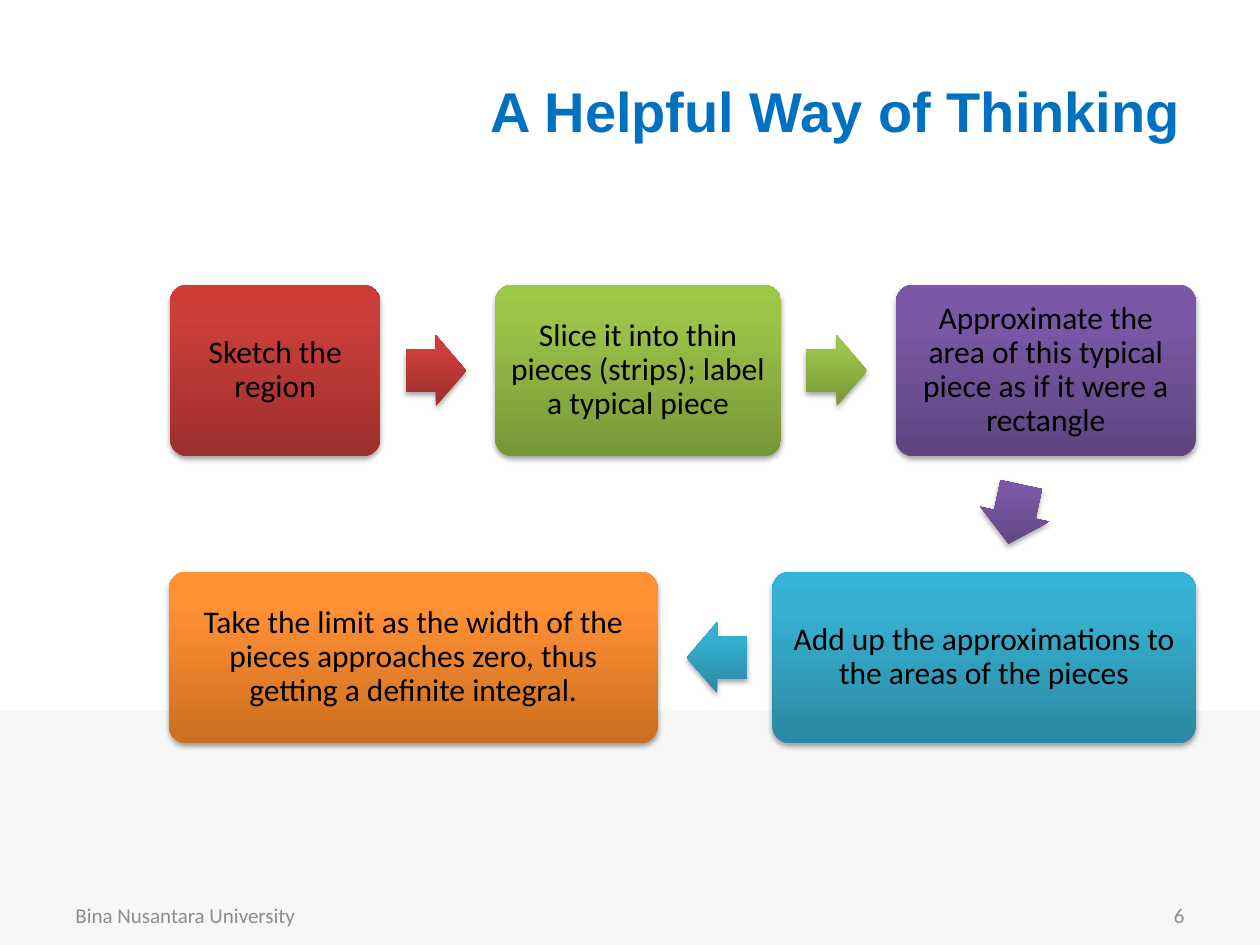
import math
from dataclasses import dataclass

import pptx
import pptx.dml.color
import pptx.enum.shapes
import pptx.enum.text
import pptx.oxml
import pptx.oxml.ns
import pptx.presentation
import pptx.shapes.autoshape
import pptx.slide
import pptx.util

Pt = pptx.util.Pt
ALIGN = pptx.enum.text.PP_ALIGN
SHAPE = pptx.enum.shapes.MSO_SHAPE


@dataclass(frozen=True)
class Theme:
    title_color: str = "0070C0"
    step_color: str = "000000"
    footer_color: str = "8C8C8C"
    band_color: str = "F7F7F7"
    title_font: str = "Arial"
    body_font: str = "Calibri"
    title_size: float = 32
    step_size: float = 18
    footer_size: float = 12


@dataclass(frozen=True)
class Step:
    text: str
    width: float
    gradient: tuple[str, str, str]  # bottom, near top, top


@dataclass(frozen=True)
class Row:
    """A run of steps laid out from one edge, rightward (1) or leftward (-1)."""
    edge: float
    top: float
    direction: int
    steps: tuple[Step, ...]


@dataclass(frozen=True)
class Label:
    text: str
    left: float
    top: float
    width: float
    height: float
    font: str
    size: float
    color: str
    align: ALIGN
    bold: bool = False


THEME = Theme()
BOX_HEIGHT = 98
BOX_GAP = 65.5
ARROW_GAP = 14.4
ARROW_WIDTH, ARROW_HEIGHT = 34.6, 40.4

ROWS = (
    Row(97.2, 162.8, 1, (
        Step("Sketch the region", 120.2, ("9C2F2D", "CB3E3A", "CE3B37")),
        Step("Slice it into thin pieces (strips); label a typical piece",
             163.5, ("779737", "9BC348", "9DC746")),
        Step("Approximate the area of this typical piece as if it were a rectangle",
             171.4, ("5F4480", "7B58A6", "7C57A8")),
    )),
    Row(683.3, 326.8, -1, (
        Step("Add up the approximations to the areas of the pieces",
             241.9, ("2A88A2", "37B1D2", "34B4D6")),
        Step("Take the limit as the width of the pieces approaches zero, "
             "thus getting a definite integral.",
             279.4, ("CC6E20", "FF9034", "FF9136")),
    )),
)

LABELS = (
    Label("Bina Nusantara University", 36, 508.5, 168, 28.8, THEME.body_font,
          THEME.footer_size, THEME.footer_color, ALIGN.LEFT),
    Label("6", 516, 508.5, 168, 28.8, THEME.body_font,
          THEME.footer_size, THEME.footer_color, ALIGN.RIGHT),
    Label("A Helpful Way of Thinking", 34, 18, 648, 90, THEME.title_font,
          THEME.title_size, THEME.title_color, ALIGN.RIGHT, True),
)


def write_text(frame: pptx.text.text.TextFrame, text: str, font: str, size: float,
               color: str, align: ALIGN, bold: bool = False) -> None:
    frame.word_wrap = True
    frame.vertical_anchor = pptx.enum.text.MSO_ANCHOR.MIDDLE
    paragraph = frame.paragraphs[0]
    paragraph.alignment = align
    run = paragraph.add_run()
    run.text = text
    run.font.name = font
    run.font.size = Pt(size)
    run.font.bold = bold
    run.font.color.rgb = pptx.dml.color.RGBColor.from_string(color)


def add_label(slide: pptx.slide.Slide, label: Label) -> None:
    box = slide.shapes.add_textbox(Pt(label.left), Pt(label.top),
                                   Pt(label.width), Pt(label.height))
    write_text(box.text_frame, label.text, label.font, label.size,
               label.color, label.align, label.bold)


def add_plain_shape(slide: pptx.slide.Slide, kind: SHAPE, left: float, top: float,
                    width: float, height: float, color: str) -> pptx.shapes.autoshape.Shape:
    shape = slide.shapes.add_shape(kind, Pt(left), Pt(top), Pt(width), Pt(height))
    shape.shadow.inherit = False
    shape.fill.solid()
    shape.fill.fore_color.rgb = pptx.dml.color.RGBColor.from_string(color)
    shape.line.fill.background()
    return shape


def add_finish(shape: pptx.shapes.autoshape.Shape, gradient: tuple[str, str, str]) -> None:
    """Apply the upright three-stop gradient and the soft shadow below."""
    namespace = pptx.oxml.ns.nsdecls("a")
    stops = "".join(f'<a:gs pos="{position}"><a:srgbClr val="{color}"/></a:gs>'
                    for position, color in zip((0, 80000, 100000), gradient))
    properties = shape.element.spPr
    solid = properties.find(pptx.oxml.ns.qn("a:solidFill"))
    properties.replace(solid, pptx.oxml.parse_xml(
        f'<a:gradFill {namespace} rotWithShape="0"><a:gsLst>{stops}</a:gsLst>'
        '<a:lin ang="16200000" scaled="0"/></a:gradFill>'))
    properties.find(pptx.oxml.ns.qn("a:effectLst")).append(pptx.oxml.parse_xml(
        f'<a:outerShdw {namespace} blurRad="{Pt(3.1)}" dist="{Pt(1.8)}" dir="5400000" '
        'rotWithShape="0"><a:srgbClr val="000000"><a:alpha val="35000"/></a:srgbClr>'
        '</a:outerShdw>'))


def add_step(slide: pptx.slide.Slide, step: Step, left: float, top: float) -> None:
    box = add_plain_shape(slide, SHAPE.ROUNDED_RECTANGLE, left, top,
                          step.width, BOX_HEIGHT, step.gradient[0])
    box.adjustments[0] = 0.1
    add_finish(box, step.gradient)
    frame = box.text_frame
    frame.margin_left = frame.margin_right = Pt(5)
    frame.margin_top = frame.margin_bottom = Pt(5)
    write_text(frame, step.text, THEME.body_font, THEME.step_size,
               THEME.step_color, ALIGN.CENTER)
    frame.paragraphs[0].line_spacing = 0.9


def add_arrow(slide: pptx.slide.Slide, step: Step, center_x: float, center_y: float,
              angle: float) -> None:
    arrow = add_plain_shape(slide, SHAPE.RIGHT_ARROW, center_x - ARROW_WIDTH / 2,
                            center_y - ARROW_HEIGHT / 2, ARROW_WIDTH, ARROW_HEIGHT,
                            step.gradient[0])
    arrow.adjustments[0] = 0.6
    arrow.adjustments[1] = 0.5
    arrow.rotation = angle
    add_finish(arrow, step.gradient)


def add_flow(slide: pptx.slide.Slide, rows: tuple[Row, ...]) -> None:
    """Draw the steps in order, each linked by an arrow in its own colour."""
    previous = None
    for row in rows:
        edge = row.edge
        center_y = row.top + BOX_HEIGHT / 2
        for index, step in enumerate(row.steps):
            far_edge = edge + row.direction * step.width
            center_x = (edge + far_edge) / 2
            if previous and index == 0:
                last_step, last_x, last_y = previous
                angle = math.degrees(math.atan2(center_y - last_y, center_x - last_x))
                add_arrow(slide, last_step, (last_x + center_x) / 2,
                          (last_y + center_y) / 2, angle)
            add_step(slide, step, min(edge, far_edge), row.top)
            if index < len(row.steps) - 1:
                offset = row.direction * (ARROW_GAP + ARROW_WIDTH / 2)
                add_arrow(slide, step, far_edge + offset, center_y,
                          0 if row.direction > 0 else 180)
            previous = step, center_x, center_y
            edge = far_edge + row.direction * BOX_GAP


def main() -> None:
    presentation = pptx.Presentation()
    presentation.slide_width, presentation.slide_height = Pt(720), Pt(540)
    slide = presentation.slides.add_slide(presentation.slide_layouts[6])
    add_plain_shape(slide, SHAPE.RECTANGLE, 0, 406, 720, 134, THEME.band_color)
    for label in LABELS:
        add_label(slide, label)
    add_flow(slide, ROWS)
    presentation.save("out.pptx")


if __name__ == "__main__":
    main()
